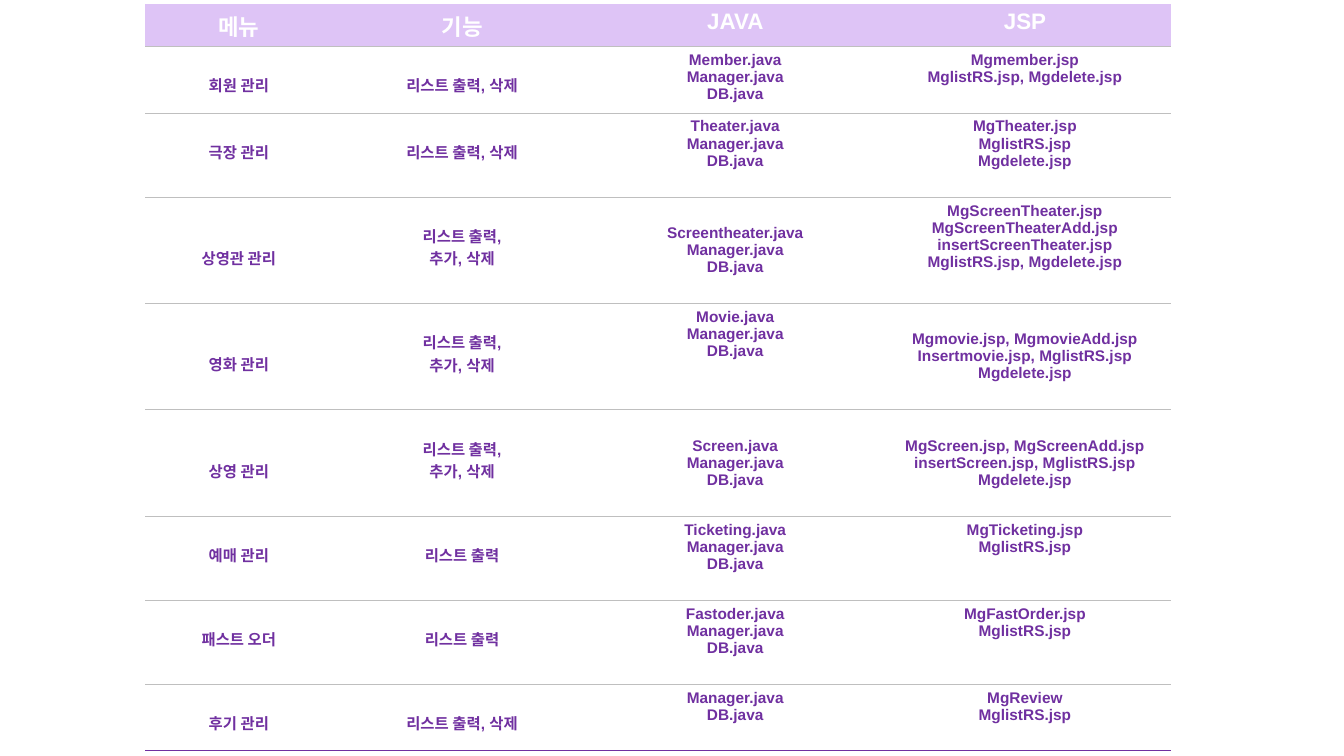
from dataclasses import dataclass

from lxml import etree
from pptx import Presentation
from pptx import util as u
from pptx.dml.color import RGBColor
from pptx.enum import text
from pptx.oxml import ns


@dataclass(frozen=True)
class Theme:
    """Colours, font and type sizes of the slide."""
    font: str = "Arial"
    header_fill: str = "DEC4F6"
    header_text: str = "FFFFFF"
    purple: str = "7030A0"
    rule: str = "BFBFBF"
    header_size: int = 16
    body_size: int = 11


THEME = Theme()
COLUMN_WIDTHS = (4.72, 6.53, 7.24, 7.36)
HEADER_HEIGHT = 1.06
HEADERS = ("메뉴", "기능", "JAVA", "JSP")
CELL_MARGIN = 0.13
LINE_DROP = 0.56
LIST_DELETE = "리스트 출력, 삭제"
LIST_ADD_DELETE = "리스트 출력,\n추가, 삭제"
LIST_ONLY = "리스트 출력"
SHARED_JAVA = "Manager.java\nDB.java"

# Each row: height, lines dropped per column, cell texts.
ROWS = (
    (1.67, (1, 1, 0, 0), ("회원 관리", LIST_DELETE, "Member.java\n" + SHARED_JAVA,
                          "Mgmember.jsp\nMglistRS.jsp, Mgdelete.jsp")),
    (2.12, (1, 1, 0, 0), ("극장 관리", LIST_DELETE, "Theater.java\n" + SHARED_JAVA,
                          "MgTheater.jsp\nMglistRS.jsp\nMgdelete.jsp")),
    (2.68, (2, 1, 1, 0), ("상영관 관리", LIST_ADD_DELETE, "Screentheater.java\n" + SHARED_JAVA,
                          "MgScreenTheater.jsp\nMgScreenTheaterAdd.jsp\n"
                          "insertScreenTheater.jsp\nMglistRS.jsp, Mgdelete.jsp")),
    (2.68, (2, 1, 0, 1), ("영화 관리", LIST_ADD_DELETE, "Movie.java\n" + SHARED_JAVA,
                          "Mgmovie.jsp, MgmovieAdd.jsp\n"
                          "Insertmovie.jsp, MglistRS.jsp\nMgdelete.jsp")),
    (2.68, (2, 1, 1, 1), ("상영 관리", LIST_ADD_DELETE, "Screen.java\n" + SHARED_JAVA,
                          "MgScreen.jsp, MgScreenAdd.jsp\n"
                          "insertScreen.jsp, MglistRS.jsp\nMgdelete.jsp")),
    (2.12, (1, 1, 0, 0), ("예매 관리", LIST_ONLY, "Ticketing.java\n" + SHARED_JAVA,
                          "MgTicketing.jsp\nMglistRS.jsp")),
    (2.12, (1, 1, 0, 0), ("패스트 오더", LIST_ONLY, "Fastoder.java\n" + SHARED_JAVA,
                          "MgFastOrder.jsp\nMglistRS.jsp")),
    (1.67, (1, 1, 0, 0), ("후기 관리", LIST_DELETE, SHARED_JAVA,
                          "MgReview\nMglistRS.jsp")),
)


def write_text(frame, content, *, size, color):
    """Write each line of the content as a centred bold paragraph."""
    for index, line in enumerate(content.split("\n")):
        para = frame.add_paragraph() if index else frame.paragraphs[0]
        para.alignment = text.PP_ALIGN.CENTER
        span = para.add_run()
        span.text = line
        span.font.name = THEME.font
        span.font.size = u.Pt(size)
        span.font.bold = True
        span.font.color.rgb = RGBColor.from_string(color)


def set_border(cell, side, color=None, width=0.5):
    """Add one border to a cell, invisible when no colour is given."""
    line = etree.SubElement(cell._tc.get_or_add_tcPr(), ns.qn(f"a:ln{side}"),
                            w=str(u.Pt(width)))
    if color is None:
        etree.SubElement(line, ns.qn("a:noFill"))
    else:
        fill = etree.SubElement(line, ns.qn("a:solidFill"))
        etree.SubElement(fill, ns.qn("a:srgbClr"), val=color)


def style_cell(cell, *, top=None, bottom=THEME.rule, bottom_width=0.5, fill=None, drop=0):
    """Set the borders, fill and top margin of a cell."""
    set_border(cell, "L")
    set_border(cell, "R")
    set_border(cell, "T", top)
    set_border(cell, "B", bottom, bottom_width)
    if fill:
        cell.fill.solid()
        cell.fill.fore_color.rgb = RGBColor.from_string(fill)
    else:
        cell.fill.background()
    cell.margin_top = u.Cm(CELL_MARGIN + drop * LINE_DROP)
    cell.margin_bottom = u.Cm(CELL_MARGIN)


def add_menu_table(page):
    """Add an empty unbanded table with its column widths and row heights."""
    heights = [HEADER_HEIGHT] + [row[0] for row in ROWS]
    table = page.shapes.add_table(len(heights), len(COLUMN_WIDTHS), u.Cm(3.66), u.Cm(0.1),
                                  u.Cm(sum(COLUMN_WIDTHS)), u.Cm(sum(heights))).table
    table.first_row = False
    table.horz_banding = False
    for column, width in zip(table.columns, COLUMN_WIDTHS):
        column.width = u.Cm(width)
    for row, height in zip(table.rows, heights):
        row.height = u.Cm(height)
    return table


def fill_header(table):
    """Write the header row."""
    for cell, title in zip(table.rows[0].cells, HEADERS):
        style_cell(cell, fill=THEME.header_fill)
        write_text(cell.text_frame, title, size=THEME.header_size, color=THEME.header_text)


def fill_body(table):
    """Write the menu rows, closing the last one with a purple rule."""
    for number, (_, drops, contents) in enumerate(ROWS, start=1):
        last = number == len(ROWS)
        for cell, drop, content in zip(table.rows[number].cells, drops, contents):
            style_cell(cell, top=THEME.rule, drop=drop,
                       bottom=THEME.purple if last else THEME.rule,
                       bottom_width=1 if last else 0.5)
            write_text(cell.text_frame, content, size=THEME.body_size, color=THEME.purple)


def main():
    """Build the deck and save it."""
    deck = Presentation()
    deck.slide_width, deck.slide_height = u.Cm(33.87), u.Cm(19.05)
    page = deck.slides.add_slide(deck.slide_layouts[6])
    table = add_menu_table(page)
    fill_header(table)
    fill_body(table)
    deck.save("out.pptx")


if __name__ == "__main__":
    main()
